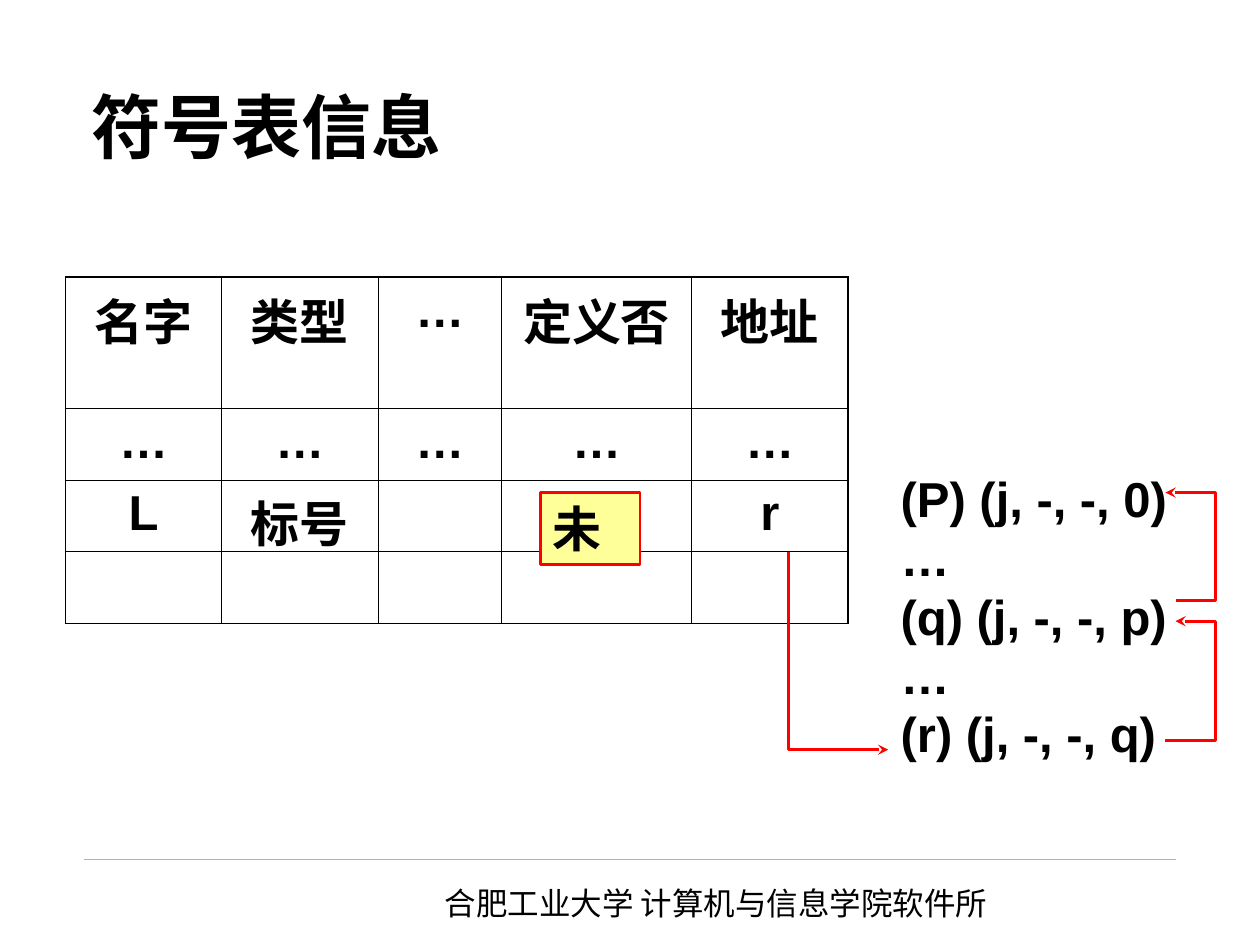
from pptx import Presentation
from pptx import util as u
from pptx.dml.color import RGBColor
from pptx.enum import shapes as sh, text as tx
from pptx.oxml import parse_xml
from pptx.oxml.ns import nsdecls

In, Pt = u.Inches, u.Pt
NS = nsdecls("a")


def color(code):
    return RGBColor.from_string(code)


def style(par, size, face="Arial", bold=True, align=tx.PP_ALIGN.LEFT):
    par.alignment = align
    font = par.font
    font.size, font.name, font.bold = Pt(size), face, bold
    font.color.rgb = color("000000")


def write(frame, lines, size, face="Arial", bold=True):
    frame.word_wrap = True
    frame.vertical_anchor = tx.MSO_ANCHOR.TOP
    frame.text = "\n".join(lines)
    for par in frame.paragraphs:
        style(par, size, face, bold)


def title(slide, x, y, w, h):
    head = slide.shapes.title
    head.left, head.top, head.width, head.height = In(x), In(y), In(w), In(h)
    write(head.text_frame, ["符号表信息"], 40, "DejaVu Sans")
    head.text_frame.vertical_anchor = tx.MSO_ANCHOR.MIDDLE


def border(cell, edges):
    props = cell._tc.get_or_add_tcPr()
    for i, (side, width) in enumerate(edges.items()):
        props.insert(i, parse_xml(
            f'<a:ln{side} {NS} w="{Pt(width)}"><a:solidFill>'
            f'<a:srgbClr val="000000"/></a:solidFill></a:ln{side}>'))


def grid(slide, x, y, w, h):
    rows = [["名字", "类型", "…", "定义否", "地址"],
            ["…"] * 5,
            ["L", "标号", "", "", "r"],
            [""] * 5]
    table = slide.shapes.add_table(4, 5, In(x), In(y), In(w), In(h)).table
    table.first_row = table.horz_banding = False
    for col, width in zip(table.columns, [1.24, 1.24, 0.98, 1.51, 1.24]):
        col.width = In(width)
    for row, height in zip(table.rows, [1.04, 0.57, 0.57, 0.57]):
        row.height = In(height)
    thin, thick = 0.45, 1.08
    for r, row in enumerate(rows):
        for c, word in enumerate(row):
            cell = table.cell(r, c)
            cell.fill.background()
            border(cell, {"L": thick if c == 0 else thin,
                          "R": thick if c == 4 else thin,
                          "T": thick if r == 0 else thin,
                          "B": thick if r == 3 else thin})
            if word:
                cell.text = word
                style(cell.text_frame.paragraphs[0], 28,
                      align=tx.PP_ALIGN.CENTER)


def mark(slide, x, y, w, h):
    box = slide.shapes.add_shape(sh.MSO_SHAPE.RECTANGLE,
                                 In(x), In(y), In(w), In(h))
    box.shadow.inherit = False
    box.fill.solid()
    box.fill.fore_color.rgb = color("FFFF99")
    box.line.color.rgb = color("FF0000")
    box.line.width = Pt(1.5)
    write(box.text_frame, ["未"], 28)


def arrow(slide, points):
    spots = [(In(x), In(y)) for x, y in points]
    build = slide.shapes.build_freeform(*spots[0])
    build.add_line_segments(spots[1:], close=False)
    bend = build.convert_to_shape()
    bend.shadow.inherit = False
    bend.fill.background()
    bend.line.color.rgb = color("FF0000")
    bend.line.width = Pt(1.75)
    bend.line._get_or_add_ln().append(
        parse_xml(f'<a:tailEnd {NS} type="stealth"/>'))


def chain(slide, x, y, w, h):
    box = slide.shapes.add_textbox(In(x), In(y), In(w), In(h))
    write(box.text_frame, ["(P) (j, -, -, 0)", "…", "(q) (j, -, -, p)", "…",
                           "(r) (j, -, -, q)"], 28)
    left, near, far = x + 2.2, x + 2.28, x + 2.6
    arrow(slide, [(x - 0.79, y + 0.71), (x - 0.79, y + 2.28), (x, y + 2.28)])
    arrow(slide, [(left, y + 2.21), (far, y + 2.21),
                  (far, y + 1.26), (near, y + 1.26)])
    arrow(slide, [(near, y + 1.1), (far, y + 1.1),
                  (far, y + 0.24), (left, y + 0.24)])


def footer(slide, x, y, w, h):
    rule = slide.shapes.add_connector(sh.MSO_CONNECTOR.STRAIGHT,
                                      In(x), In(y), In(x + w), In(y))
    rule.line.color.rgb = color("B2B2B2")
    rule.line.width = Pt(0.25)
    rule._element.spPr.append(parse_xml(f"<a:effectLst {NS}/>"))
    box = slide.shapes.add_textbox(In(x + 2.76), In(y + 0.15),
                                   In(5.04), In(h - 0.15))
    write(box.text_frame, ["合肥工业大学 计算机与信息学院软件所"], 18,
          "Noto Sans CJK SC", False)


def main():
    deck = Presentation()
    deck.slide_width, deck.slide_height = In(10), In(7.5)
    slide = deck.slides.add_slide(deck.slide_layouts[5])
    footer(slide, 0.67, 6.82, 8.66, 0.55)
    title(slide, 0.63, 0.33, 8.75, 1.33)
    grid(slide, 0.52, 2.2, 6.21, 2.75)
    chain(slide, 7.05, 3.67, 2.95, 2.9)
    mark(slide, 4.29, 3.91, 0.79, 0.57)
    deck.save("out.pptx")


if __name__ == "__main__":
    main()
